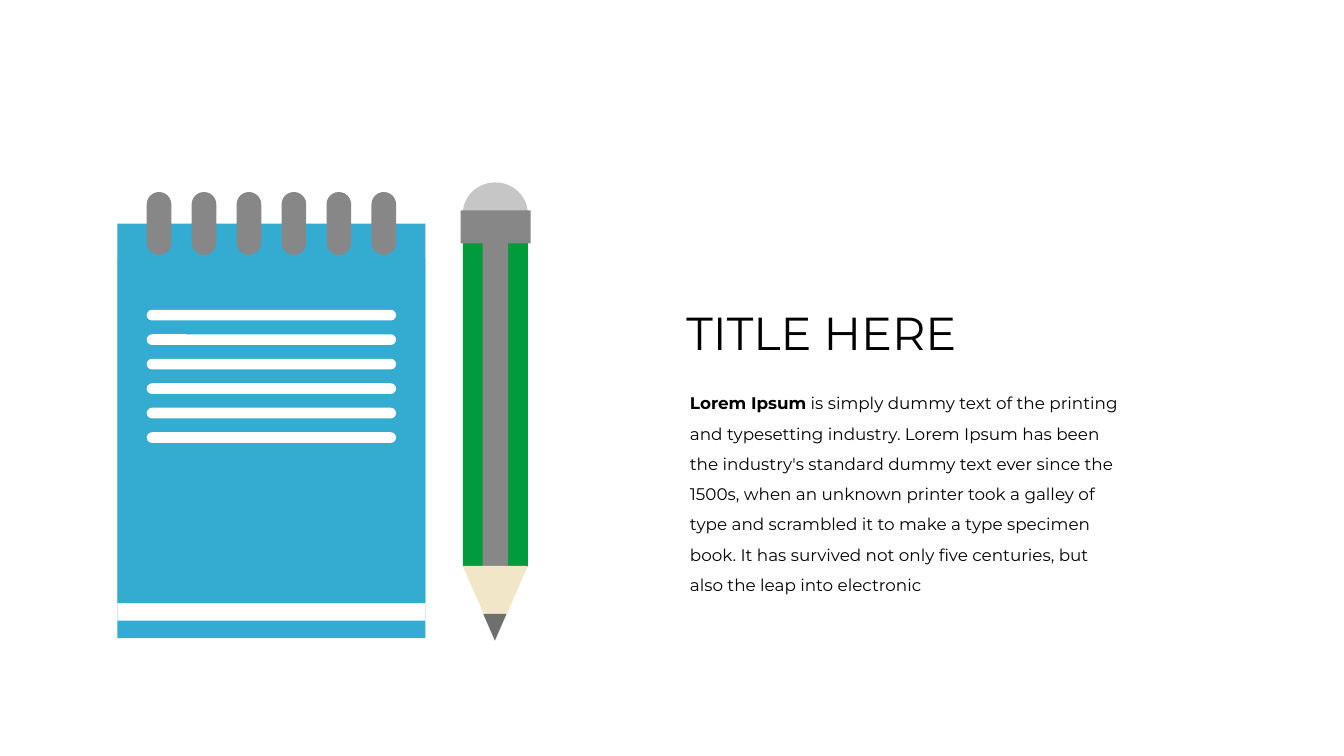
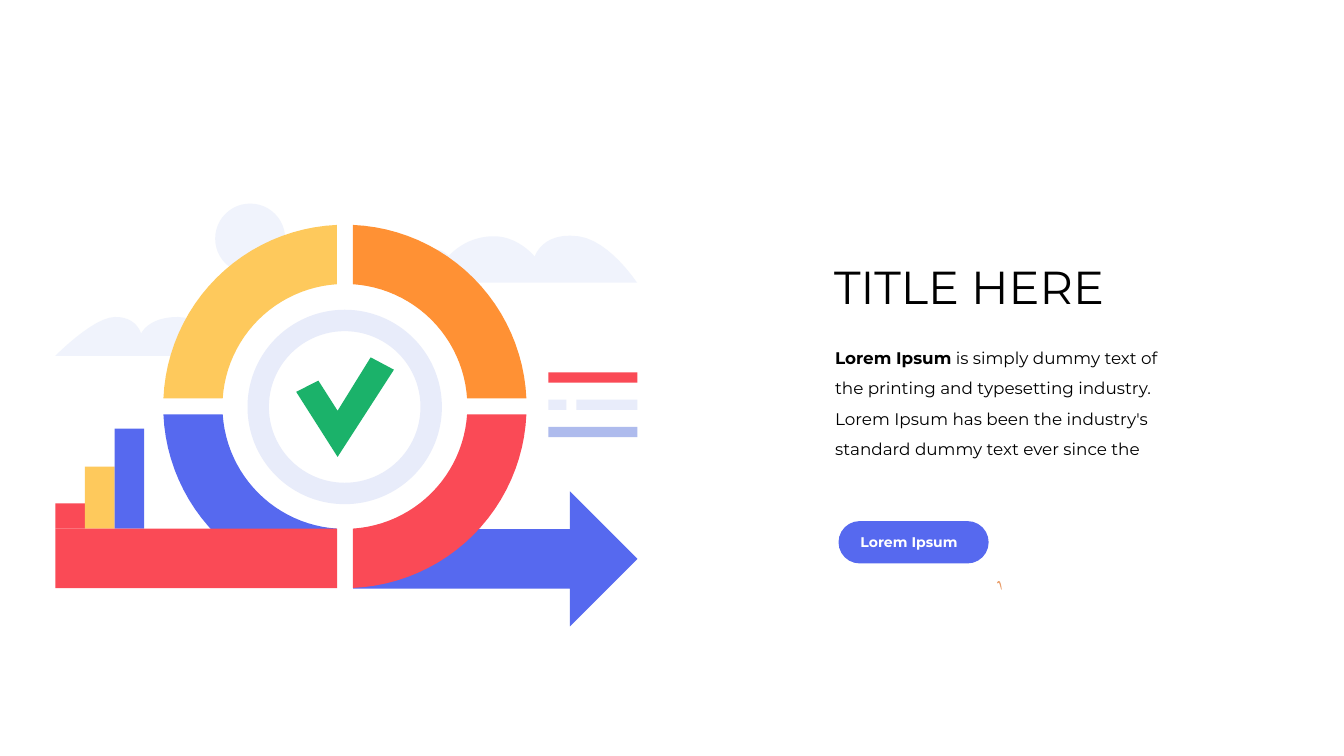
from dataclasses import dataclass
from math import asin, cos, pi, sin

from lxml.etree import SubElement
from pptx import Presentation
from pptx.dml.color import RGBColor
from pptx.enum.shapes import MSO_SHAPE as Preset
from pptx.enum.text import MSO_ANCHOR as Anchor, MSO_AUTO_SIZE as AutoSize, PP_ALIGN as Align
from pptx.oxml.ns import qn
from pptx.util import Emu, Inches, Pt


@dataclass(frozen=True)
class Theme:
    """Colours and type sizes of the deck."""
    font: str = "Montserrat"
    title_size: int = 66
    body_size: int = 24
    button_size: int = 20
    ink: str = "000000"
    white: str = "FFFFFF"
    sky: str = "34ABD0"
    steel: str = "878787"
    eraser: str = "C6C6C6"
    barrel: str = "009B3A"
    wood: str = "F1E6C8"
    graphite: str = "706F6F"
    blue: str = "5669EF"
    red: str = "FA4A56"
    yellow: str = "FEC95C"
    orange: str = "FF9134"
    green: str = "1BB26A"
    mist: str = "F0F3FC"
    lavender: str = "E8ECFA"
    periwinkle: str = "AEBBED"
    spark: str = "EA9F6C"


THEME = Theme()


@dataclass(frozen=True)
class Box:
    """A rectangle whose cells are given in hundredths of its size."""
    left: float
    top: float
    width: float
    height: float

    def point(self, x, y):
        """Return the place x, y hundredths into the box."""
        return round(self.left + self.width * x / 100), round(self.top + self.height * y / 100)

    def cell(self, x, y, width, height):
        """Return a smaller box inside this one."""
        return Box(*self.point(x, y), self.width * width / 100, self.height * height / 100)

    def frame(self):
        """Return left, top, width and height as whole lengths."""
        return [Emu(round(v)) for v in (self.left, self.top, self.width, self.height)]


PAGE = Box(0, 0, Inches(26.67), Inches(15))


def paint(shape, colour):
    """Give a shape a flat fill without line or shadow."""
    shape.shadow.inherit = False
    shape.fill.solid()
    shape.fill.fore_color.rgb = RGBColor.from_string(colour)
    shape.line.fill.background()
    return shape


def add_preset(shapes, preset, box, colour, *adjustments):
    """Draw a preset shape that fills the box."""
    shape = shapes.add_shape(preset, *box.frame())
    for index, value in enumerate(adjustments):
        shape.adjustments[index] = value
    return paint(shape, colour)


def add_outline(shapes, box, points, colour):
    """Draw a closed outline through points of the box."""
    start, *rest = [box.point(*point) for point in points]
    builder = shapes.build_freeform(*start, scale=1.0)
    builder.add_line_segments(rest, close=True)
    return paint(builder.convert_to_shape(), colour)


def add_curve(shapes, box, start, curves, colour, steps=12):
    """Draw a closed outline of cubic curves, each with two handles and an end."""
    points = [start]
    for handle_a, handle_b, end in curves:
        corners = (points[-1], handle_a, handle_b, end)
        for step in range(1, steps + 1):
            t = step / steps
            weights = ((1 - t) ** 3, 3 * t * (1 - t) ** 2, 3 * t * t * (1 - t), t ** 3)
            points.append(tuple(sum(w * c[axis] for w, c in zip(weights, corners))
                                for axis in (0, 1)))
    return add_outline(shapes, box, points, colour)


def set_font(paragraph, size, colour, bold=False):
    """Set the type of a whole paragraph."""
    font = paragraph.font
    font.name, font.size, font.bold = THEME.font, Pt(size), bold
    font.color.rgb = RGBColor.from_string(colour)


def place(placeholder, box):
    """Move a placeholder and return its first paragraph, set flush left."""
    placeholder.left, placeholder.top, placeholder.width, placeholder.height = box.frame()
    frame = placeholder.text_frame
    frame.word_wrap, frame.auto_size = True, AutoSize.NONE
    frame.vertical_anchor = Anchor.TOP
    paragraph = frame.paragraphs[0]
    paragraph.alignment = Align.LEFT
    paragraph.space_before = Pt(0)
    return paragraph


def add_text(slide, title_box, body_box, lead, body):
    """Fill the title and the body, which opens with a bold lead."""
    title = place(slide.shapes.title, title_box)
    title.add_run().text = "TITLE HERE"
    set_font(title, THEME.title_size, THEME.ink)

    story = place(slide.placeholders[1], body_box)
    story.line_spacing = 1.5
    properties = story._p.get_or_add_pPr()
    properties.set("marL", "0")
    properties.set("indent", "0")
    SubElement(properties, qn("a:buNone"))
    set_font(story, THEME.body_size, THEME.ink)
    for text, bold in ((lead, True), (body, False)):
        run = story.add_run()
        run.text, run.font.bold = text, bold


def draw_notepad(shapes, box):
    """Draw a ring-bound notepad with six written lines."""
    for top, height, colour in ((14.9, 85.1, THEME.sky), (11, 85.1, THEME.white),
                                (7.1, 85.1, THEME.sky)):
        add_preset(shapes, Preset.RECTANGLE, box.cell(0, top, 100, height), colour)
    for index in range(6):
        ring = box.cell(9.5 + 14.6 * index, 0, 8, 14.1)
        add_preset(shapes, Preset.ROUNDED_RECTANGLE, ring, THEME.steel, 0.5)
    for index in range(6):
        line = box.cell(9.5, 26.4 + 5.49 * index, 81, 2.4)
        add_preset(shapes, Preset.ROUNDED_RECTANGLE, line, THEME.white, 0.5)


def draw_pencil(shapes, box):
    """Draw an upright pencil with its point at the bottom."""
    for preset, share, colour in (
            (Preset.OVAL, (3.2, 0, 92.8, 13.6), THEME.eraser),
            (Preset.RECTANGLE, (3.2, 8.6, 92.8, 75.3), THEME.barrel),
            (Preset.RECTANGLE, (31.3, 8.6, 36.7, 75.3), THEME.steel),
            (Preset.FLOWCHART_MERGE, (3.2, 83.7, 92.8, 16.3), THEME.wood),
            (Preset.FLOWCHART_MERGE, (32.4, 94.2, 33.1, 5.8), THEME.graphite),
            (Preset.RECTANGLE, (0, 6.1, 100, 7.2), THEME.steel)):
        add_preset(shapes, preset, box.cell(*share), colour)


def draw_sky(shapes, box):
    """Draw the sun and the two clouds behind the wheel."""
    add_preset(shapes, Preset.OVAL, box.cell(27.45, 0, 12.03, 16.57), THEME.mist)
    right_cloud = (((100, 100), (89, 11), (76.6, 2)),
                   ((62, -8.5), (59, 45), (59, 45)),
                   ((59, 45), (52, -2), (41.2, 2)),
                   ((33.7, 5), (28.5, 22), (24.6, 43)),
                   ((22.8, 37), (21.6, 25), (16.2, 33)),
                   ((10.5, 40), (0, 100), (0, 100)))
    left_cloud = (((100, 100), (89, 0), (71.5, 0)),
                  ((54, 0), (50, 43), (50, 43)),
                  ((50, 43), (47.6, -1), (34.7, 0)),
                  ((22, 1), (0, 100), (0, 100)))
    add_curve(shapes, box.cell(57.06, 7.51, 42.86, 11.2), (100, 100), right_cloud, THEME.mist)
    add_curve(shapes, box.cell(0, 26.82, 29.44, 9.18), (100, 100), left_cloud, THEME.mist)


def draw_wheel(shapes, box, outer=50, inner=33.7, half_gap=2.2):
    """Draw four ring quarters around a hub with a check mark."""
    steps = 24
    for quarter, colour in enumerate((THEME.red, THEME.blue, THEME.yellow, THEME.orange)):
        points = []
        for radius, order in ((outer, range(steps + 1)), (inner, range(steps, -1, -1))):
            margin = asin(half_gap / radius)
            for step in order:
                angle = quarter * pi / 2 + margin + (pi / 2 - 2 * margin) * step / steps
                points.append((50 + radius * cos(angle), 50 + radius * sin(angle)))
        add_outline(shapes, box, points, colour)
    add_preset(shapes, Preset.DONUT, box.cell(23.2, 23.4, 53.5, 53.5), THEME.lavender, 0.11)
    check = ((63.5, 39.9), (57.1, 36.5), (48, 51.2), (42.7, 42.9), (36.6, 46), (48, 63.9))
    add_outline(shapes, box, check, THEME.green)


def draw_ledger(shapes, box):
    """Draw three rows of stripes, the middle one split."""
    for row, left, width, colour in ((0, 0, 100, THEME.red), (1, 0, 20.3, THEME.lavender),
                                     (1, 31.6, 68.4, THEME.lavender),
                                     (2, 0, 100, THEME.periwinkle)):
        stripe = box.cell(left, 42 * row, width, 16)
        add_preset(shapes, Preset.RECTANGLE, stripe, colour)


def draw_cycle(shapes, box):
    """Draw the wheel on its arrow with bars, stripes and sky."""
    draw_sky(shapes, box)
    base_top, bar_width = 76.9, 5.09
    for index, (height, colour) in enumerate(((6, THEME.red), (14.7, THEME.yellow),
                                              (23.7, THEME.blue))):
        bar = box.cell(bar_width * index, base_top - height, bar_width, height)
        add_preset(shapes, Preset.RECTANGLE, bar, colour)
    arrow = box.cell(51.17, 68.06, 48.83, 31.94)
    add_preset(shapes, Preset.RIGHT_ARROW, arrow, THEME.blue, 0.44, 0.5)
    draw_wheel(shapes, box.cell(18.53, 5, 62.42, 85.94))
    add_preset(shapes, Preset.RECTANGLE, box.cell(0, base_top, 48.4, 14.05), THEME.red)
    draw_ledger(shapes, box.cell(84.68, 39.93, 15.32, 15.3))


def add_button(shapes, box, label):
    """Draw a pill button with its label a little left of centre."""
    pill = add_preset(shapes, Preset.ROUNDED_RECTANGLE, box, THEME.blue, 0.5)
    frame = pill.text_frame
    frame.margin_left, frame.margin_right = 0, Inches(0.18)
    frame.vertical_anchor = Anchor.MIDDLE
    caption = frame.paragraphs[0]
    caption.alignment = Align.CENTER
    caption.add_run().text = label
    set_font(caption, THEME.button_size, THEME.white, bold=True)


def add_spark(shapes, box):
    """Draw the small orange fleck below the button."""
    add_curve(shapes, box, (0, 18),
              (((0, 12), (25, -6), (38, 0)), ((75, 0), (88, 29), (100, 59)),
               ((112, 88), (112, 106), (100, 100)), ((88, 88), (75, 53), (50, 24)),
               ((25, 0), (12, 47), (0, 18))), THEME.spark)


def build_notepad_slide(slide, page):
    """Build the slide with the notepad and the pencil."""
    add_text(slide, page.cell(50.7, 39.87, 36.75, 8.07), page.cell(50.96, 50.33, 32.81, 28.47),
             "Lorem Ipsum",
             " is simply dummy text of the printing and typesetting industry. Lorem Ipsum has "
             "been the industry's standard dummy text ever since the 1500s, when an unknown "
             "printer took a galley of type and scrambled it to make a type specimen book. It "
             "has survived not only five centuries, but also the leap into electronic")
    draw_notepad(slide.shapes.add_group_shape().shapes, page.cell(8.74, 25.4, 22.91, 59))
    draw_pencil(slide.shapes.add_group_shape().shapes, page.cell(34.27, 24.13, 5.21, 60.6))


def build_cycle_slide(slide, page):
    """Build the slide with the cycle wheel and the button."""
    add_spark(slide.shapes, page.cell(74.2, 76.87, 0.3, 1.13))
    add_text(slide, page.cell(61.68, 33.87, 38.3, 8.07), page.cell(61.76, 44.33, 27.03, 16.33),
             "Lorem Ipsum",
             " is simply dummy text of the printing and typesetting industry. Lorem Ipsum has "
             "been the industry's standard dummy text ever since the")
    add_button(slide.shapes, page.cell(62.39, 68.93, 11.17, 5.6), "Lorem Ipsum")
    draw_cycle(slide.shapes.add_group_shape().shapes, page.cell(4.12, 26.93, 43.31, 55.93))


def main():
    """Build both slides and save the deck."""
    deck = Presentation()
    deck.slide_width, deck.slide_height = PAGE.frame()[2:]
    for build in (build_notepad_slide, build_cycle_slide):
        build(deck.slides.add_slide(deck.slide_layouts[1]), PAGE)
    deck.save("out.pptx")


if __name__ == "__main__":
    main()
